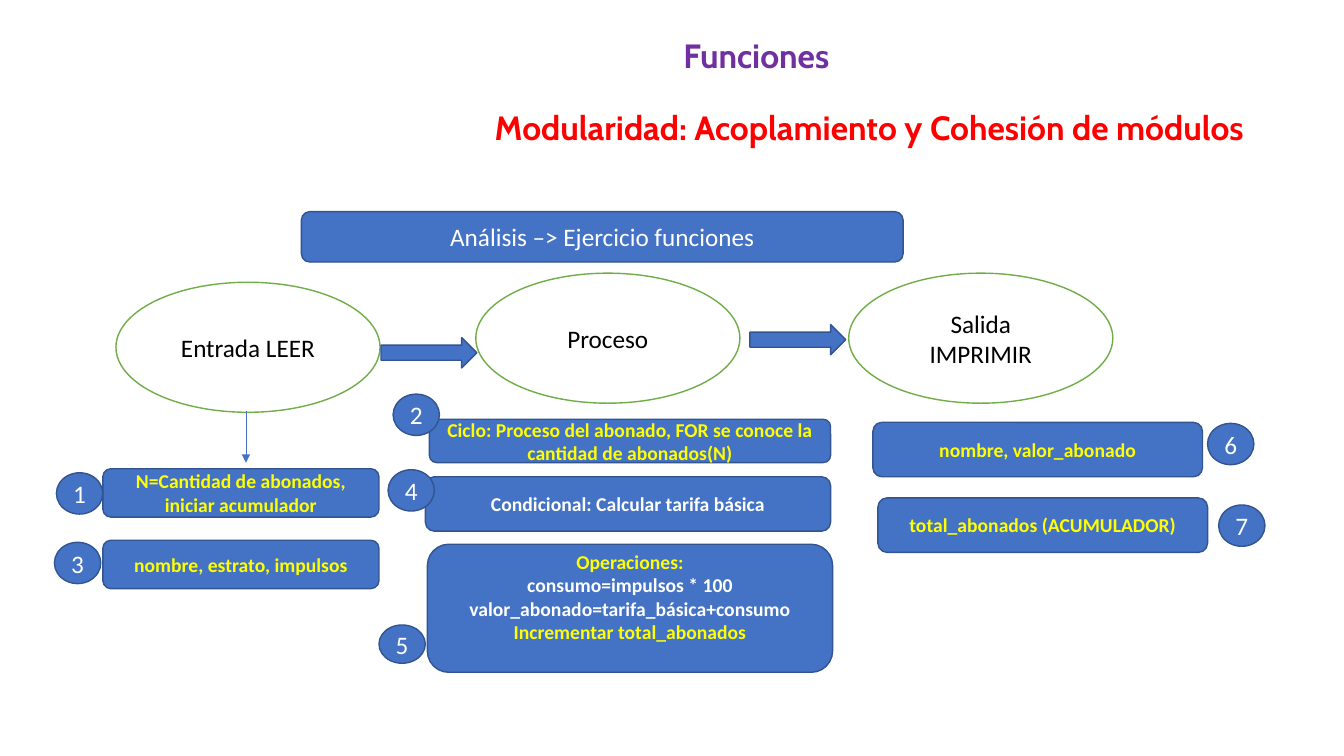
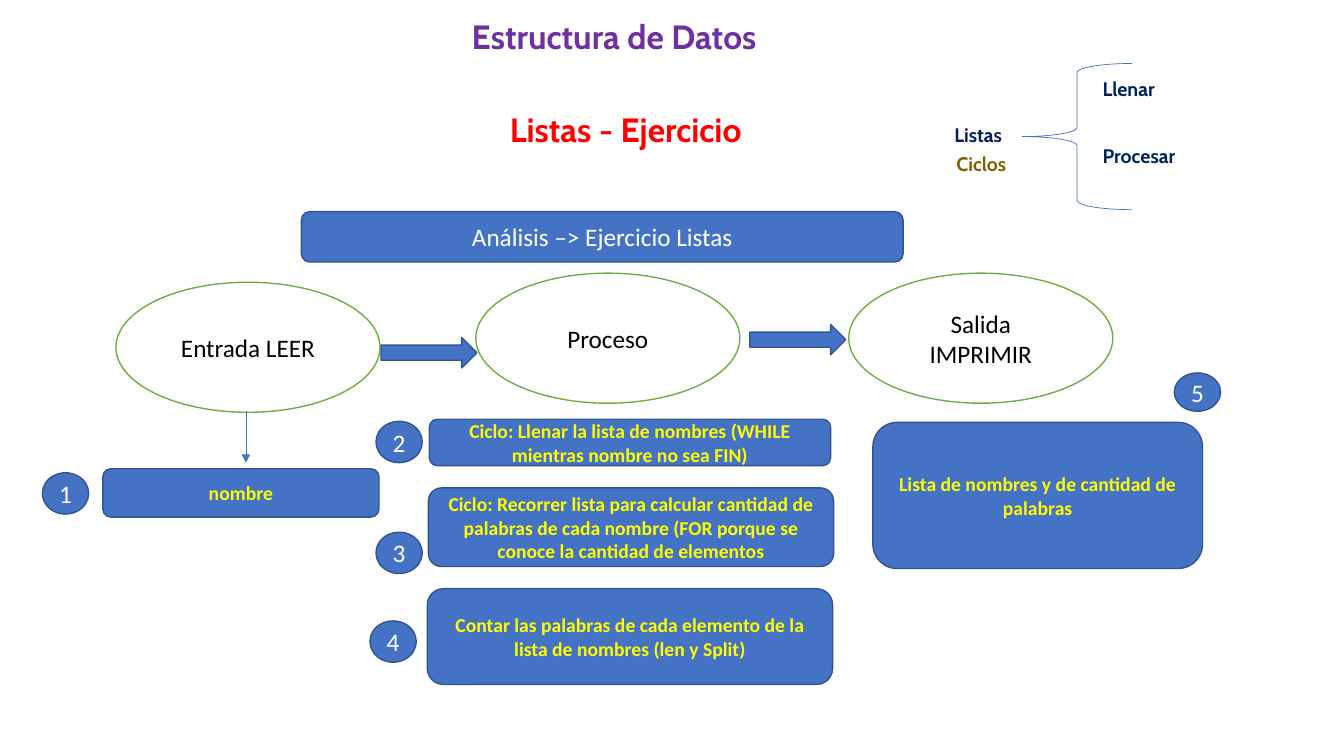
"""Build two input-process-output analysis slides."""
import pptx
import pptx.util
import pptx.dml.color
import pptx.enum.shapes
import pptx.enum.text
import pptx.oxml
import pptx.oxml.ns

RGB = pptx.dml.color.RGBColor
SHAPE = pptx.enum.shapes.MSO_SHAPE
ANCHOR = pptx.enum.text.MSO_ANCHOR
ALIGN = pptx.enum.text.PP_ALIGN

WIDTH, HEIGHT = pptx.util.Inches(13.333), pptx.util.Inches(7.5)
COLUMN, ROW = WIDTH / 40, HEIGHT / 30

WHITE = RGB(0xFF, 0xFF, 0xFF)
BLACK = RGB(0x00, 0x00, 0x00)
BLUE = RGB(0x44, 0x72, 0xC4)
DARK_BLUE = RGB(0x32, 0x54, 0x91)
GREEN = RGB(0x70, 0xAD, 0x47)
YELLOW = RGB(0xFF, 0xFF, 0x00)
PURPLE = RGB(0x70, 0x30, 0xA0)
RED = RGB(0xFF, 0x00, 0x00)
NAVY = RGB(0x00, 0x20, 0x60)
BROWN = RGB(0x80, 0x60, 0x00)

HEADING = {"name": "Cabin", "size": pptx.util.Pt(24), "bold": True}
LABEL = {"name": "Cabin", "size": pptx.util.Pt(14), "bold": True}
STAGE = {"name": "Calibri", "size": pptx.util.Pt(18), "bold": False}
DETAIL = {"name": "Calibri", "size": pptx.util.Pt(14), "bold": True}

INSET = {"margin_left": pptx.util.Inches(0.1), "margin_right": pptx.util.Inches(0.1),
         "margin_top": pptx.util.Inches(0.05), "margin_bottom": pptx.util.Inches(0.05)}
NO_INSET = dict.fromkeys(INSET, 0)


def apply_format(target, values):
    """Set every attribute named in a dict of format values."""
    for name, value in values.items():
        setattr(target, name, value)


def place(left, top, width, height):
    """Turn grid columns and rows into slide lengths."""
    return [round(length) for length in
            (left * COLUMN, top * ROW, width * COLUMN, height * ROW)]


def write(box, lines, style, align, anchor, inset=INSET):
    """Write (text, colour) lines into a box, one paragraph each."""
    frame = box.text_frame
    apply_format(frame, {"word_wrap": True, "vertical_anchor": anchor,
                         "auto_size": pptx.enum.text.MSO_AUTO_SIZE.NONE, **inset})
    for index, (text, colour) in enumerate(lines):
        para = frame.add_paragraph() if index else frame.paragraphs[0]
        para.alignment = align
        span = para.add_run()
        span.text = text
        apply_format(span.font, style)
        span.font.color.rgb = colour


def add_title(page, text, area):
    """Move and format the title placeholder."""
    title = page.shapes.title
    apply_format(title, dict(zip(("left", "top", "width", "height"), place(*area))))
    write(title, [(text, PURPLE)], HEADING, ALIGN.LEFT, ANCHOR.TOP)


def add_label(page, text, area, colour, style=LABEL):
    """Add a plain left-aligned text box."""
    box = page.shapes.add_textbox(*place(*area))
    write(box, [(text, colour)], style, ALIGN.LEFT, ANCHOR.TOP)


def add_outline(page, kind, area, fill=BLUE, line=DARK_BLUE, weight=1):
    """Add a preset shape with the given fill and line."""
    shape = page.shapes.add_shape(kind, *place(*area))
    shape.shadow.inherit = False
    if fill is None:
        shape.fill.background()
    else:
        shape.fill.solid()
        shape.fill.fore_color.rgb = fill
    shape.line.color.rgb = line
    shape.line.width = pptx.util.Pt(weight)
    return shape


def add_detail(page, area, *lines, inset=INSET):
    """Add a rounded box of bold centred lines."""
    box = add_outline(page, SHAPE.ROUNDED_RECTANGLE, area)
    write(box, lines, DETAIL, ALIGN.CENTER, ANCHOR.MIDDLE, inset)


def add_stage(page, text, left, top):
    """Add a green ellipse that names a stage."""
    ellipse = add_outline(page, SHAPE.OVAL, (left, top, 7.86, 5.16), WHITE, GREEN)
    write(ellipse, [(text, BLACK)], STAGE, ALIGN.CENTER, ANCHOR.MIDDLE)


def add_steps(page, places):
    """Add numbered circles, counted in the order of their places."""
    for number, (left, top, height) in enumerate(places, 1):
        circle = add_outline(page, SHAPE.OVAL, (left, top, 1.38, height))
        write(circle, [(str(number), WHITE)], STAGE, ALIGN.CENTER,
              ANCHOR.MIDDLE, NO_INSET)


def add_down_arrow(page, column, top, bottom):
    """Add a thin vertical line with an arrowhead at its end."""
    left, start, _, drop = place(column, top, 0, bottom - top)
    arrow = page.shapes.add_connector(
        pptx.enum.shapes.MSO_CONNECTOR.STRAIGHT, left, start, left, start + drop)
    arrow.line.color.rgb = BLUE
    arrow.line.width = pptx.util.Pt(0.5)
    head = pptx.oxml.parse_xml(
        f'<a:tailEnd {pptx.oxml.ns.nsdecls("a")} type="triangle"/>')
    arrow.line._get_or_add_ln().append(head)
    effects = pptx.oxml.parse_xml(f'<a:effectLst {pptx.oxml.ns.nsdecls("a")}/>')
    arrow._element.spPr.append(effects)


def add_flow_page(deck, title, title_area, subtitle, subtitle_area, banner):
    """Start a slide with its headings, banner and three linked stages."""
    page = deck.slides.add_slide(deck.slide_layouts[5])
    add_title(page, title, title_area)
    add_label(page, subtitle, subtitle_area, RED, HEADING)
    add_stage(page, "Entrada LEER", 3.45, 11.2)
    add_stage(page, "Proceso", 14.16, 10.84)
    add_stage(page, "Salida IMPRIMIR", 25.26, 10.84)
    heading = add_outline(page, SHAPE.ROUNDED_RECTANGLE, (8.97, 8.4, 17.91, 2))
    write(heading, [(banner, WHITE)], STAGE, ALIGN.CENTER, ANCHOR.MIDDLE)
    for left, top in ((11.34, 13.4), (22.32, 12.88)):
        add_outline(page, SHAPE.RIGHT_ARROW, (left, top, 2.85, 1.2))
    add_down_arrow(page, 7.32, 16.32, 18.36)
    return page


def build_functions(deck):
    """Build the slide about functions."""
    page = add_flow_page(
        deck, "Funciones", (20.04, 1.2, 6.84, 2),
        "Modularidad: Acoplamiento y Cohesión de módulos", (14.43, 4.04, 25, 2),
        "Análisis –> Ejercicio funciones")
    add_detail(page, (3.06, 18.6, 8.22, 1.92),
               ("N=Cantidad de abonados, iniciar acumulador", YELLOW))
    add_detail(page, (3.06, 21.44, 8.22, 1.92),
               ("nombre, estrato, impulsos", YELLOW))
    add_detail(page, (12.78, 16.64, 11.94, 1.72),
               ("Ciclo: Proceso del abonado, FOR se conoce la cantidad de abonados(N)",
                YELLOW))
    add_detail(page, (12.66, 18.92, 12.06, 2.16),
               ("Condicional: Calcular tarifa básica", WHITE))
    add_detail(page, (12.72, 21.6, 12.06, 5.08),
               ("Operaciones:", YELLOW),
               ("consumo=impulsos * 100", WHITE),
               ("valor_abonado=tarifa_básica+consumo", WHITE),
               ("Incrementar total_abonados", YELLOW),
               inset={**INSET, "margin_bottom": pptx.util.Inches(0.28)})
    add_detail(page, (25.98, 16.76, 9.81, 2.16), ("nombre, valor_abonado", YELLOW))
    add_detail(page, (26.13, 19.76, 9.81, 2.16),
               ("total_abonados (ACUMULADOR)", YELLOW))
    add_steps(page, [(1.68, 18.76, 1.64), (11.7, 15.64, 1.64), (1.62, 21.52, 1.64),
                     (11.55, 18.64, 1.64), (11.28, 24.8, 1.52),
                     (35.94, 16.8, 1.64), (36.27, 20.04, 1.64)])


def build_lists(deck):
    """Build the slide about lists."""
    page = add_flow_page(
        deck, "Estructura de Datos", (13.74, 0.44, 10.38, 2),
        "Listas - Ejercicio", (14.88, 4.12, 12, 2),
        "Análisis –> Ejercicio Listas")
    add_detail(page, (3.06, 18.6, 8.22, 1.92), ("nombre", YELLOW))
    add_detail(page, (12.78, 16.64, 11.94, 1.84),
               ("Ciclo: Llenar la lista de nombres (WHILE mientras nombre no sea FIN)",
                YELLOW))
    add_detail(page, (12.75, 19.36, 12.06, 3.12),
               ("Ciclo: Recorrer lista para calcular cantidad de palabras de cada "
                "nombre (FOR porque se conoce la cantidad de elementos", YELLOW))
    add_detail(page, (12.72, 23.36, 12.06, 3.8),
               ("Contar las palabras de cada elemento de la lista de nombres "
                "(len y Split)", YELLOW))
    add_detail(page, (25.98, 16.76, 9.81, 5.8),
               ("Lista de nombres y de cantidad de palabras", YELLOW))
    add_steps(page, [(1.26, 18.76, 1.64), (11.19, 16.72, 1.64), (11.19, 21.12, 1.64),
                     (11.01, 24.64, 1.64), (34.95, 14.8, 1.52)])
    add_outline(page, SHAPE.LEFT_BRACE, (30.42, 2.52, 3.27, 5.8), None, BLUE, 0.5)
    for text, left, top, width, colour in (
            ("Listas", 28.11, 4.68, 2.28, NAVY), ("Ciclos", 28.17, 5.84, 2.28, BROWN),
            ("Llenar", 32.52, 2.84, 3.45, NAVY), ("Procesar", 32.52, 5.52, 3.45, NAVY)):
        add_label(page, text, (left, top, width, 1.36), colour)


def main():
    """Build and save the deck."""
    deck = pptx.Presentation()
    apply_format(deck, {"slide_width": WIDTH, "slide_height": HEIGHT})
    build_functions(deck)
    build_lists(deck)
    deck.save("out.pptx")


if __name__ == "__main__":
    main()
